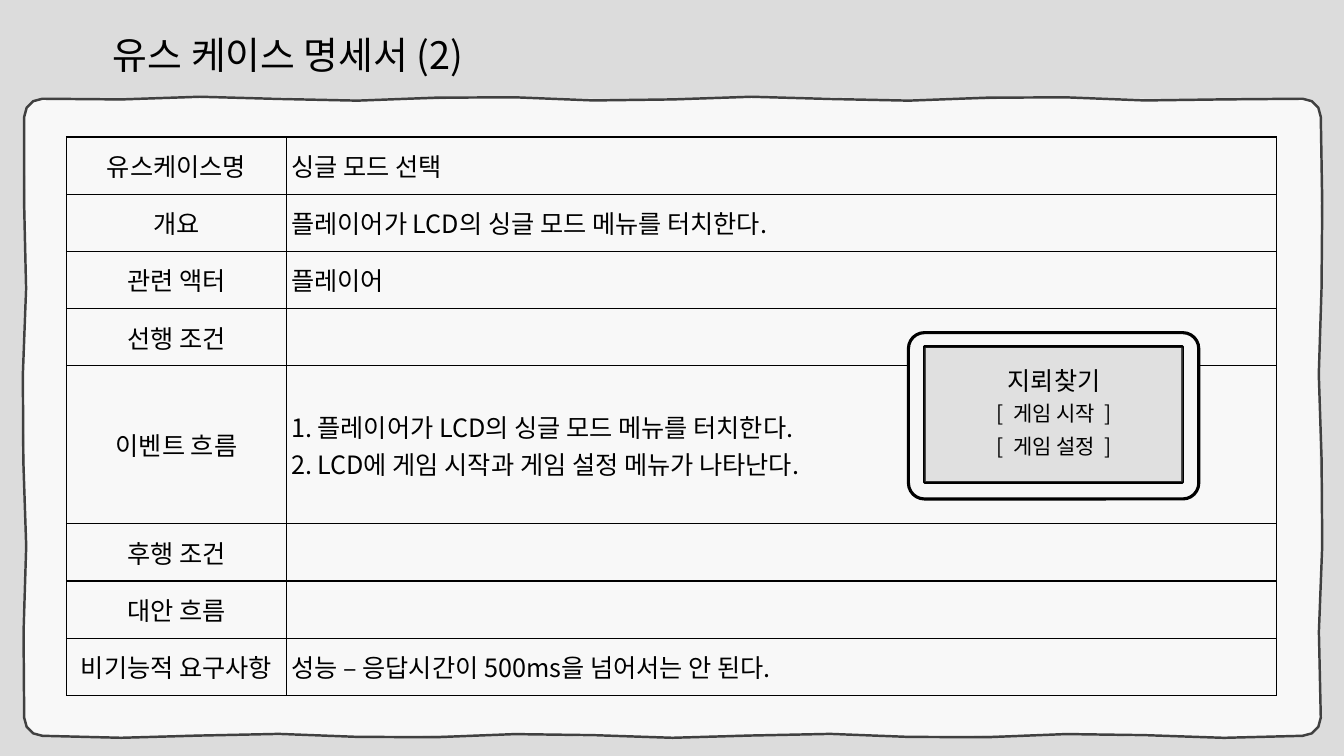
from dataclasses import dataclass
from math import cos, pi, sin

from pptx import Presentation
from pptx.dml.color import RGBColor
from pptx.enum.shapes import MSO_SHAPE as Shape
from pptx.enum.text import MSO_ANCHOR as Anchor, PP_ALIGN as Align
from pptx.oxml.ns import qn
from pptx.oxml.xmlchemy import OxmlElement
from pptx.util import Inches, Pt


@dataclass(frozen=True)
class Theme:
    """Colours, font and type sizes of the deck."""
    font: str = "Noto Sans CJK KR"
    ink: str = "000000"
    backdrop: str = "DCDCDC"
    paper: str = "FFFFFF"
    edge: str = "404040"
    device: str = "F7F7F7"
    screen: str = "BFBFBF"
    title: int = 27
    body: int = 18
    small: int = 15


THEME = Theme()
INSET = Inches(0.05)
USE_CASE = [
    ("유스케이스명", ["싱글 모드 선택"]),
    ("개요", ["플레이어가 LCD의 싱글 모드 메뉴를 터치한다."]),
    ("관련 액터", ["플레이어"]),
    ("선행 조건", []),
    ("이벤트 흐름", ["플레이어가 LCD의 싱글 모드 메뉴를 터치한다.",
                "LCD에 게임 시작과 게임 설정 메뉴가 나타난다."]),
    ("후행 조건", []),
    ("대안 흐름", []),
    ("비기능적 요구사항", ["성능 – 응답시간이 500ms을 넘어서는 안 된다."]),
]


def add_child(parent, tag, **attributes):
    """Append an XML element with the given attributes."""
    child = OxmlElement(tag)
    for name, value in attributes.items():
        child.set(name, str(value))
    parent.append(child)
    return child


def write(frame, lines, size, align=Align.LEFT, numbered=False):
    """Write one paragraph per line in the theme font."""
    frame.word_wrap = True
    frame.text = "\n".join(lines)
    for para in frame.paragraphs:
        para.alignment = align
        para.font.name = THEME.font
        para.font.size = Pt(size)
        para.font.color.rgb = RGBColor.from_string(THEME.ink)
        properties = para._p.get_or_add_pPr()
        add_child(properties.find(qn("a:defRPr")), "a:ea", typeface=THEME.font)
        if numbered:
            properties.set("marL", str(Inches(0.26)))
            properties.set("indent", str(-Inches(0.26)))
            number = OxmlElement("a:buAutoNum")
            number.set("type", "arabicPeriod")
            properties.insert(0, number)


def set_insets(holder):
    """Give a text frame or cell the common narrow margins."""
    holder.margin_left = holder.margin_right = INSET
    holder.margin_top = holder.margin_bottom = INSET


def paint(shape, fill=None, alpha=None, line=None, weight=2.25):
    """Set the fill, opacity and outline of a shape."""
    shape.shadow.inherit = False
    if fill:
        shape.fill.solid()
        shape.fill.fore_color.rgb = RGBColor.from_string(fill)
    else:
        shape.fill.background()
    if alpha:
        color = shape._element.spPr.find(qn("a:solidFill"))[0]
        add_child(color, "a:alpha", val=alpha * 1000)
    if line:
        shape.line.color.rgb = RGBColor.from_string(line)
        shape.line.width = Pt(weight)
    else:
        shape.line.fill.background()


def wavy_outline(left, top, width, height, phase, radius=0.18, spacing=0.8):
    """Return the points of a rounded rectangle with hand-drawn sides."""
    right, bottom = left + width, top + height
    sides = [(left + radius, top, 1, 0, width), (right, top + radius, 0, 1, height),
             (right - radius, bottom, -1, 0, width), (left, bottom - radius, 0, -1, height)]
    points = []
    for index, (x, y, dx, dy, length) in enumerate(sides):
        span = length - 2 * radius
        steps = round(span / spacing)
        for step in range(steps + 1):
            along = span * step / steps
            shift = 0.02 * sin(2.3 * along + phase + index) if 0 < step < steps else 0
            points.append((x + dx * along - dy * shift, y + dy * along + dx * shift))
        end_x, end_y = x + dx * span, y + dy * span
        for angle in (pi / 6, pi / 3):
            ahead, inward = radius * sin(angle), radius * (1 - cos(angle))
            points.append((end_x + dx * ahead - dy * inward,
                           end_y + dy * ahead + dx * inward))
    return [(Inches(x), Inches(y)) for x, y in points]


def add_paper(page, left, top, width, height):
    """Draw the translucent sheet and its loose pen outline."""
    looks = [dict(fill=THEME.paper, alpha=80), dict(line=THEME.edge, weight=1.75)]
    for phase, look in enumerate(looks):
        first, *rest = wavy_outline(left, top, width, height, phase)
        builder = page.shapes.build_freeform(*first)
        builder.add_line_segments(rest, close=True)
        paint(builder.convert_to_shape(), **look)


def add_title(page, text, left, top, width, height):
    """Place the slide title in its placeholder."""
    title = page.shapes.title
    title.left, title.top = Inches(left), Inches(top)
    title.width, title.height = Inches(width), Inches(height)
    set_insets(title.text_frame)
    title.text_frame.vertical_anchor = Anchor.TOP
    write(title.text_frame, [text], THEME.title)


def format_cell(cell, lines, align):
    """Fill a clear cell with text and rule all its sides."""
    cell.fill.background()
    cell.vertical_anchor = Anchor.MIDDLE
    set_insets(cell)
    write(cell.text_frame, lines, THEME.body, align, numbered=len(lines) > 1)
    properties = cell._tc.get_or_add_tcPr()
    for index, side in enumerate(("a:lnL", "a:lnR", "a:lnT", "a:lnB")):
        border = OxmlElement(side)
        border.set("w", str(Pt(1)))
        add_child(add_child(border, "a:solidFill"), "a:srgbClr", val=THEME.ink)
        properties.insert(index, border)


def add_use_case_table(page, rows, left, top, width, height, label_width, flow_height):
    """Build the label and description table, with one tall row for the flow."""
    row_height = (height - flow_height) / (len(rows) - 1)
    table = page.shapes.add_table(len(rows), 2, Inches(left), Inches(top),
                                  Inches(width), Inches(height)).table
    table.first_row = table.horz_banding = False
    table.columns[0].width = Inches(label_width)
    table.columns[1].width = Inches(width - label_width)
    for index, (label, lines) in enumerate(rows):
        table.rows[index].height = Inches(flow_height if len(lines) > 1 else row_height)
        format_cell(table.cell(index, 0), [label], Align.CENTER)
        format_cell(table.cell(index, 1), lines, Align.LEFT)


def add_device(page, left, top, width, height):
    """Draw the LCD mock-up with its menu."""
    screen_width = width - 0.32
    layers = [(Shape.ROUNDED_RECTANGLE, 0, 0, width, height, 0.096,
               dict(fill=THEME.device, line=THEME.ink)),
              (Shape.ROUNDED_RECTANGLE, 0.16, 0.14, screen_width, height - 0.3, 0,
               dict(line=THEME.ink)),
              (Shape.RECTANGLE, 0.16, 0.15, screen_width, height - 0.32, None,
               dict(fill=THEME.screen, alpha=40))]
    for kind, x, y, layer_width, layer_height, rounding, look in layers:
        layer = page.shapes.add_shape(kind, Inches(left + x), Inches(top + y),
                                      Inches(layer_width), Inches(layer_height))
        if rounding is not None:
            layer.adjustments[0] = rounding
        paint(layer, **look)
    menu = [("[  게임 시작  ]", 0.62, 0.36, THEME.small),
            ("지뢰찾기", 0.27, 0.39, THEME.body),
            ("[  게임 설정  ]", 0.95, 0.36, THEME.small)]
    for text, offset, line_height, size in menu:
        box = page.shapes.add_textbox(Inches(left + 0.69), Inches(top + offset),
                                      Inches(1.51), Inches(line_height))
        set_insets(box.text_frame)
        write(box.text_frame, [text], size, Align.CENTER)


def main():
    """Build and save the use case slide."""
    deck = Presentation()
    deck.slide_width, deck.slide_height = Inches(13.33), Inches(7.5)
    page = deck.slides.add_slide(deck.slide_layouts[5])
    page.background.fill.solid()
    page.background.fill.fore_color.rgb = RGBColor.from_string(THEME.backdrop)
    add_paper(page, 0.24, 0.98, 12.86, 6.32)
    add_title(page, "유스 케이스 명세서 (2)", 1.07, 0.26, 4.4, 0.57)
    add_use_case_table(page, USE_CASE, 0.66, 1.36, 12, 5.54, 2.18, 1.57)
    add_device(page, 9.01, 3.3, 2.88, 1.65)
    deck.save("out.pptx")


if __name__ == "__main__":
    main()
